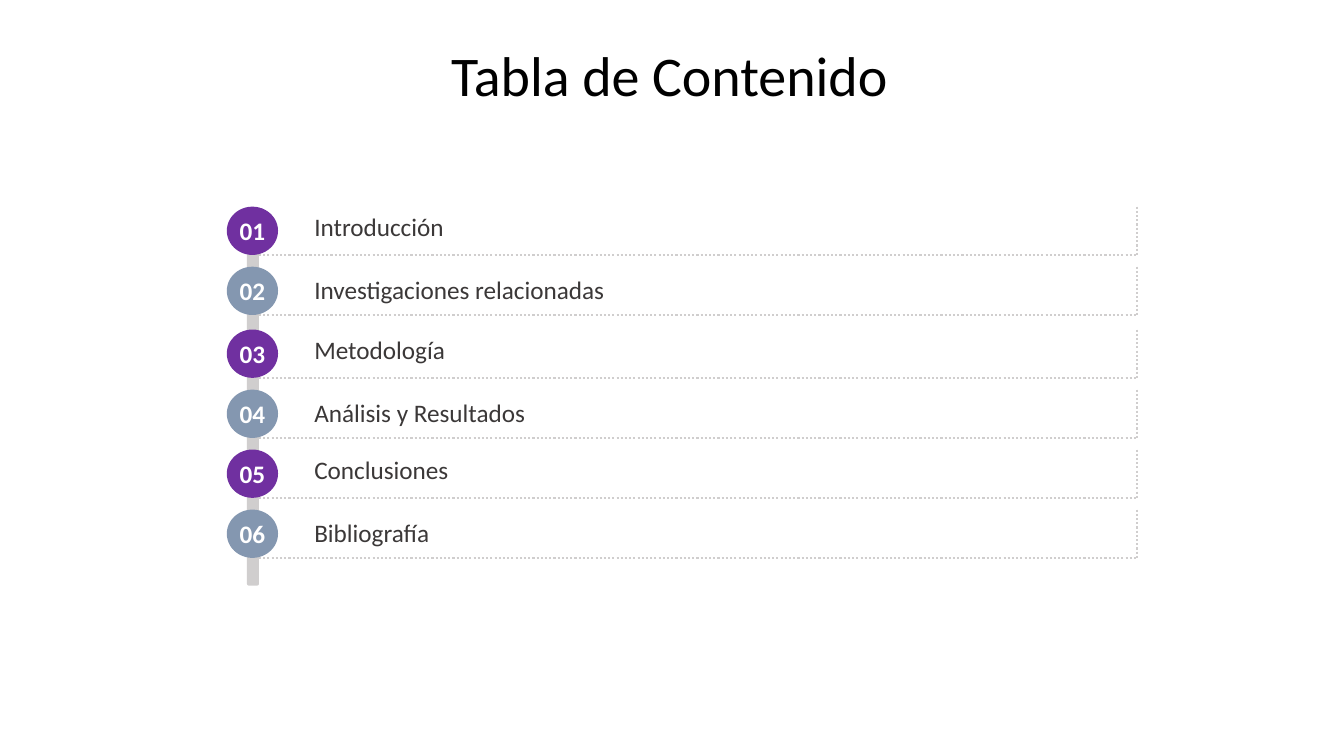
from dataclasses import dataclass

from lxml import etree
from pptx import Presentation
from pptx.dml.color import RGBColor
from pptx.enum import dml, shapes, text
from pptx.oxml import ns
from pptx.shapes.autoshape import Shape
from pptx.slide import Slide
from pptx.util import Pt

BLACK = RGBColor(0x00, 0x00, 0x00)
WHITE = RGBColor(0xFF, 0xFF, 0xFF)
PURPLE = RGBColor(0x70, 0x30, 0xA0)
SLATE = RGBColor(0x84, 0x97, 0xB0)
GRAY = RGBColor(0xD0, 0xCE, 0xCE)
DARK = RGBColor(0x3B, 0x38, 0x38)
FONT = "Calibri"

BADGE_LEFT, BADGE_W, BADGE_H = 162, 36.6, 34.5
RULE_LEFT, RULE_RIGHT = 185, 812.2
LABEL_LEFT, LABEL_W, LABEL_H = 217.4, 339, 29
PAIR_TOPS = (147.6, 235.4, 321.1)
PAIR_PITCH = 42.9
SECOND_LABEL_SHIFT = 1.9


@dataclass
class Entry:
    number: int
    title: str
    top: float
    label_top: float
    color: RGBColor


def make_entries(titles: list[str]) -> list[Entry]:
    entries = []
    for i, title in enumerate(titles):
        pair, second = divmod(i, 2)
        top = PAIR_TOPS[pair] + second * PAIR_PITCH
        label_top = top + second * SECOND_LABEL_SHIFT
        entries.append(Entry(i + 1, title, top, label_top, SLATE if second else PURPLE))
    return entries


def set_font(p, size: float, color: RGBColor, bold: bool = False) -> None:
    p.font.name = FONT
    p.font.size = Pt(size)
    p.font.bold = bold
    p.font.color.rgb = color


def add_filled(s: Slide, kind: shapes.MSO_SHAPE, left: float, top: float,
               width: float, height: float, color: RGBColor) -> Shape:
    sp = s.shapes.add_shape(kind, Pt(left), Pt(top), Pt(width), Pt(height))
    sp.shadow.inherit = False
    sp.fill.solid()
    sp.fill.fore_color.rgb = color
    sp.line.fill.background()
    return sp


def add_dotted(s: Slide, x1: float, y1: float, x2: float, y2: float) -> None:
    c = s.shapes.add_connector(shapes.MSO_CONNECTOR.STRAIGHT, Pt(x1), Pt(y1), Pt(x2), Pt(y2))
    c.line.color.rgb = GRAY
    c.line.width = Pt(1.5)
    c.line.dash_style = dml.MSO_LINE.ROUND_DOT
    etree.SubElement(c._element.spPr, ns.qn("a:effectLst"))


def add_title(s: Slide, title: str) -> None:
    sp = s.shapes.title
    sp.left, sp.top, sp.width, sp.height = Pt(32.4), Pt(23.8), Pt(891.4), Pt(64)
    tf = sp.text_frame
    tf.text = title
    tf.vertical_anchor = text.MSO_ANCHOR.MIDDLE
    p = tf.paragraphs[0]
    p.alignment = text.PP_ALIGN.CENTER
    p.line_spacing = 0.9
    set_font(p, 40, BLACK)


def add_badge(s: Slide, e: Entry) -> None:
    sp = add_filled(s, shapes.MSO_SHAPE.OVAL, BADGE_LEFT, e.top, BADGE_W, BADGE_H, e.color)
    tf = sp.text_frame
    tf.margin_left = tf.margin_top = tf.margin_right = tf.margin_bottom = 0
    tf.vertical_anchor = text.MSO_ANCHOR.MIDDLE
    tf.text = f"{e.number:02}"
    p = tf.paragraphs[0]
    p.alignment = text.PP_ALIGN.CENTER
    set_font(p, 18, WHITE, bold=True)


def add_label(s: Slide, e: Entry) -> None:
    sp = s.shapes.add_textbox(Pt(LABEL_LEFT), Pt(e.label_top), Pt(LABEL_W), Pt(LABEL_H))
    tf = sp.text_frame
    tf.word_wrap = True
    tf.auto_size = text.MSO_AUTO_SIZE.SHAPE_TO_FIT_TEXT
    tf.text = e.title
    set_font(tf.paragraphs[0], 18, DARK)


def add_entry(s: Slide, e: Entry) -> None:
    bottom = e.top + BADGE_H
    add_badge(s, e)
    add_dotted(s, RULE_LEFT, bottom, RULE_RIGHT, bottom)
    add_dotted(s, RULE_RIGHT, e.top, RULE_RIGHT, bottom)
    add_label(s, e)


def main() -> None:
    prs = Presentation()
    prs.slide_width, prs.slide_height = Pt(960), Pt(540)
    s = prs.slides.add_slide(prs.slide_layouts[5])
    add_title(s, "Tabla de Contenido")
    add_filled(s, shapes.MSO_SHAPE.FLOWCHART_ALTERNATE_PROCESS, 176.4, 165.6, 8.6, 252.7, GRAY)
    titles = ["Introducción", "Investigaciones relacionadas", "Metodología",
              "Análisis y Resultados", "Conclusiones", "Bibliografía"]
    for e in make_entries(titles):
        add_entry(s, e)
    prs.save("out.pptx")


if __name__ == "__main__":
    main()
